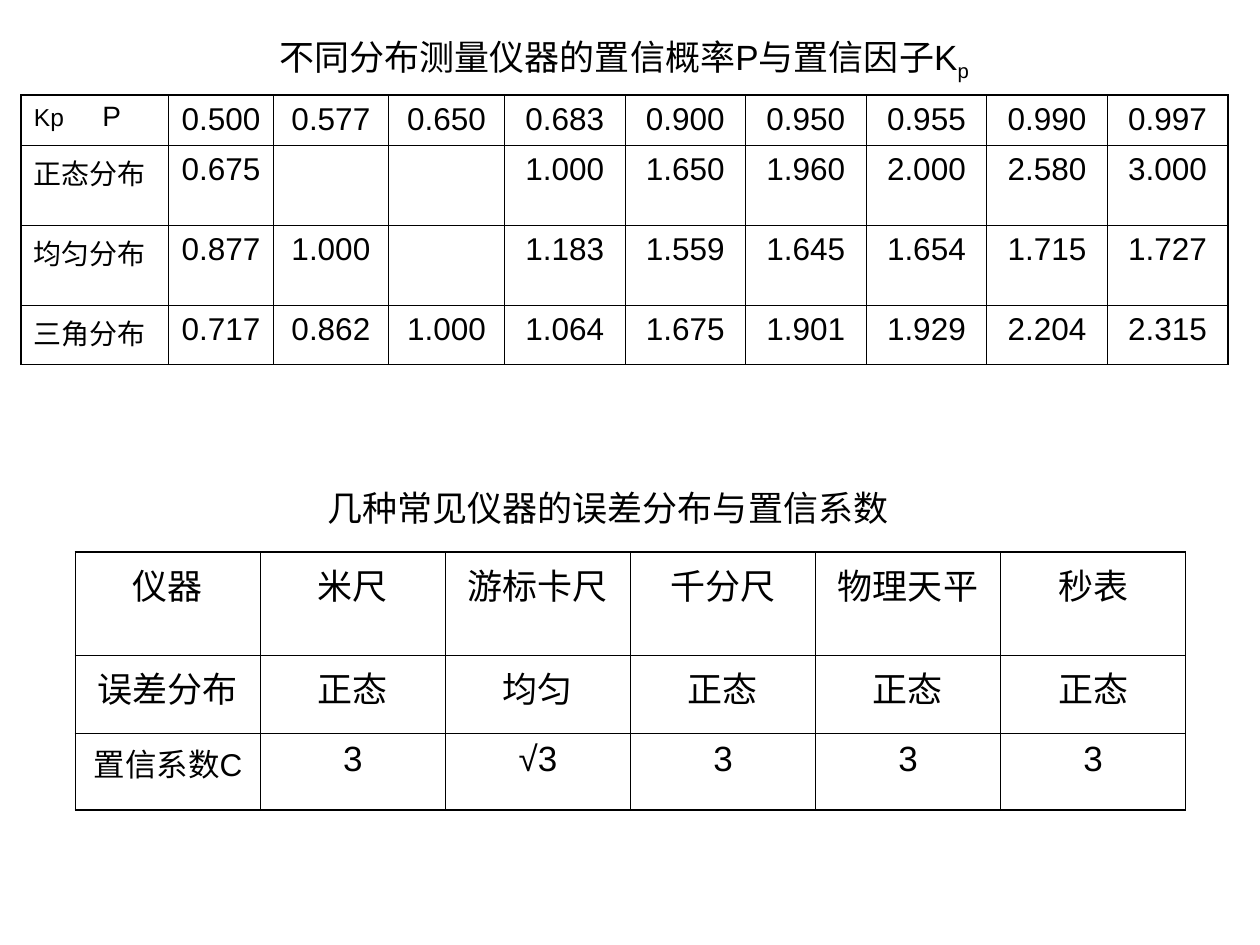
from lxml import etree
from pptx import Presentation
from pptx import util as u
from pptx.dml.color import RGBColor
from pptx.enum import text
from pptx.oxml.ns import qn

# Content
TITLE = [("不同分布测量仪器的置信概率P与置信因子K", None), ("p", "-25000")]
SUBTITLE = [("几种常见仪器的误差分布与置信系数", None)]
FACTORS = [
    ["Kp\tP", "0.500", "0.577", "0.650", "0.683", "0.900", "0.950", "0.955", "0.990", "0.997"],
    ["正态分布", "0.675", "", "", "1.000", "1.650", "1.960", "2.000", "2.580", "3.000"],
    ["均匀分布", "0.877", "1.000", "", "1.183", "1.559", "1.645", "1.654", "1.715", "1.727"],
    ["三角分布", "0.717", "0.862", "1.000", "1.064", "1.675", "1.901", "1.929", "2.204", "2.315"],
]
INSTRUMENTS = [
    ["仪器", "米尺", "游标卡尺", "千分尺", "物理天平", "秒表"],
    ["误差分布", "正态", "均匀", "正态", "正态", "正态"],
    ["置信系数C", "3", "√3", "3", "3", "3"],
]

# Format
COLORS = {"ink": "000000"}
FONT = {"name": "Arial", "bold": False}
THIN, THICK = u.Pt(0.45), u.Pt(1.08)
LEFT, CENTER = text.PP_ALIGN.LEFT, text.PP_ALIGN.CENTER


def add_run(p, words, size):
    r = p.add_run()
    r.text = words
    for name, value in {**FONT, "size": u.Pt(size)}.items():
        setattr(r.font, name, value)
    r.font.color.rgb = RGBColor.from_string(COLORS["ink"])
    return r


def fill_heading(sp, runs, left, top, width, height):
    box = dict(left=left, top=top, width=width, height=height)
    for name, value in box.items():
        setattr(sp, name, u.Cm(value))
    tf = sp.text_frame
    # No right margin, so that the line has room to spare
    frame = {"word_wrap": True, "vertical_anchor": text.MSO_ANCHOR.TOP,
             "auto_size": text.MSO_AUTO_SIZE.NONE, "margin_right": 0}
    for name, value in frame.items():
        setattr(tf, name, value)
    p = tf.paragraphs[0]
    p.alignment = LEFT
    for words, baseline in runs:
        r = add_run(p, words, 20)
        if baseline:
            r.font._element.set("baseline", baseline)


def set_borders(cell, outer):
    """Draw the four sides, with a thicker line on the table's outer edge."""
    tcPr = cell._tc.get_or_add_tcPr()
    for side in "LRTB":
        ln = etree.SubElement(tcPr, qn(f"a:ln{side}"), w=str(THICK if side in outer else THIN))
        fill = etree.SubElement(ln, qn("a:solidFill"))
        etree.SubElement(fill, qn("a:srgbClr"), val=COLORS["ink"])


def add_grid(s, rows, left, top, widths, heights, write_cell):
    table = s.shapes.add_table(len(rows), len(widths), u.Cm(left), u.Cm(top),
                               u.Cm(sum(widths)), u.Cm(sum(heights))).table
    table.first_row = table.horz_banding = False
    for col, width in zip(table.columns, widths):
        col.width = u.Cm(width)
    for row, height in zip(table.rows, heights):
        row.height = u.Cm(height)
    for i, values in enumerate(rows):
        for j, value in enumerate(values):
            cell = table.cell(i, j)
            edges = {"L": j == 0, "R": j == len(widths) - 1,
                     "T": i == 0, "B": i == len(rows) - 1}
            set_borders(cell, [side for side, on in edges.items() if on])
            cell.fill.background()
            if value:
                write_cell(cell.text_frame.paragraphs[0], value, i, j)


def write_factor(p, value, i, j):
    p.alignment = CENTER if j else LEFT
    if i == j == 0:
        # The corner holds both axis names, set apart by a tab stop
        tabs = etree.SubElement(p._p.get_or_add_pPr(), qn("a:tabLst"))
        etree.SubElement(tabs, qn("a:tab"), pos=str(u.Cm(1.38)), algn="l")
        row_name, column_name = value.split("\t")
        add_run(p, row_name, 14)
        add_run(p, "\t" + column_name, 16)
    else:
        add_run(p, value, 18 if j else 16)


def write_instrument(p, value, i, j):
    p.alignment = CENTER
    add_run(p, value, 18 if (i, j) == (2, 0) else 20)


def main():
    prs = Presentation()
    prs.slide_width, prs.slide_height = u.Cm(25.4), u.Cm(19.05)
    s = prs.slides.add_slide(prs.slide_layouts[5])

    # Upper table with its title
    fill_heading(s.shapes.title, TITLE, 5.38, 0.58, 14.91, 1.22)
    add_grid(s, FACTORS, 0.43, 1.92, [2.97, 2.11, 2.32, 2.34] + [2.43] * 6,
             [1.02, 1.61, 1.61, 1.19], write_factor)

    # Lower table with its heading
    sp = s.shapes.add_textbox(0, 0, 0, 0)
    fill_heading(sp, SUBTITLE, 6.35, 9.68, 11.81, 1.12)
    add_grid(s, INSTRUMENTS, 1.52, 11.13, [3.73] * 6, [2.08, 1.57, 1.55], write_instrument)

    prs.save("out.pptx")


if __name__ == "__main__":
    main()
